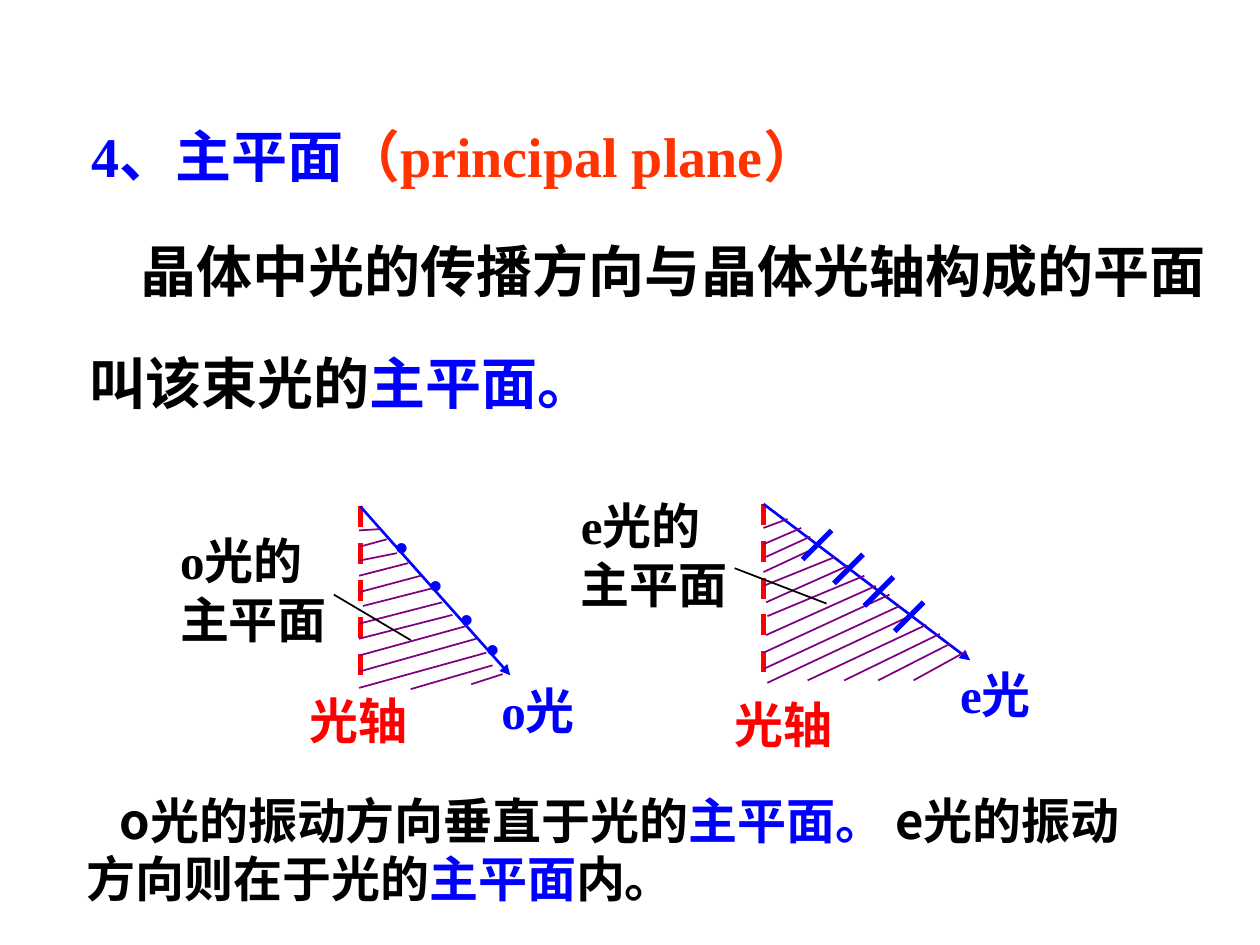
from lxml.etree import SubElement
from pptx import Presentation
from pptx.dml.color import RGBColor
from pptx.enum.dml import MSO_LINE
from pptx.enum.shapes import MSO_CONNECTOR
from pptx.oxml.ns import qn
from pptx.util import Pt

COLOURS = {"black": "000000", "blue": "0000FF", "red": "FF0000",
           "orange": "FF3300", "purple": "800080"}
LATIN_FONT = "Times New Roman"
ASIAN_FONT = "Noto Sans CJK SC"
LINE_HEIGHT = 1.2
BASELINE_SHIFT = 0.08

# Hatching: x and y of the start, x and y of the end
O_HATCHING = [
    (205.2, 303.1, 216.7, 302.4), (205.2, 312.5, 221, 308.2),
    (205.2, 320.4, 226.8, 316.1), (205.2, 329, 233.3, 321.8),
    (205.2, 338.4, 240.5, 329), (207.4, 346.3, 247, 336.2),
    (205.2, 356.4, 252.7, 344.2), (205.2, 365, 258.5, 351.4),
    (205.9, 374.4, 266.4, 357.8), (205.2, 383.8, 272.2, 365),
    (205.2, 393.1, 277.9, 373), (234.7, 393.8, 281.5, 380.2),
    (269.3, 391, 287.3, 385.2),
]
E_HATCHING = [
    (436.3, 301.7, 450, 296.6), (436.3, 311, 457.9, 301.7),
    (437.8, 318.2, 463, 306.7), (436.3, 326.9, 468.7, 311.8),
    (436.3, 334.8, 477.4, 318.2), (437.8, 344.2, 484.6, 323.3),
    (438.5, 352.1, 493.9, 329), (437.8, 362.9, 500.4, 334.8),
    (436.3, 373, 508.3, 339.8), (436.3, 382.3, 514.1, 346.3),
    (438.5, 390.2, 519.8, 352.1), (461.5, 388.8, 529.2, 357.1),
    (482.4, 388.8, 537.1, 362.2), (501.8, 388.8, 542.9, 367.9),
    (522, 388.8, 552.2, 372.2),
]
O_DOTS = [(223.2, 288.7), (242.6, 310.3), (259.9, 329.8), (275, 347)]
E_TICKS = [(458.6, 319.7), (476.6, 333.4), (493.9, 346.3), (511.2, 360.7)]
TICK_LENGTH = 16.6


def colour(name):
    return RGBColor.from_string(COLOURS[name])


class SlideWriter:
    def __init__(self, page):
        self.page = page

    def text(self, bounds, paragraphs, size, margins=(0.7, 0.7), indent=0,
             latin=LATIN_FONT, fixed_height=True):
        """Each paragraph is a list of (text, colour name) spans."""
        box = self.page.shapes.add_textbox(*map(Pt, bounds))
        frame = box.text_frame
        frame.word_wrap = True
        side, top = margins
        frame.margin_left = frame.margin_right = Pt(side)
        shift = BASELINE_SHIFT * size if fixed_height else 0
        frame.margin_top = Pt(top + shift)
        frame.margin_bottom = Pt(top)
        for number, spans in enumerate(paragraphs):
            para = frame.add_paragraph() if number else frame.paragraphs[0]
            if fixed_height:
                para.line_spacing = Pt(LINE_HEIGHT * size)
            if indent:
                properties = para._p.get_or_add_pPr()
                properties.set("marL", "0")
                properties.set("indent", str(Pt(indent)))
            for words, colour_name in spans:
                span = para.add_run()
                span.text = words
                span.font.size = Pt(size)
                span.font.bold = True
                span.font.color.rgb = colour(colour_name)
                span.font.name = latin
                asian = SubElement(span._r.get_or_add_rPr(), qn("a:ea"))
                asian.set("typeface", ASIAN_FONT)

    def body(self, bounds, spans, size=32, **options):
        self.text(bounds, [spans], size, margins=(7.2, 3.6), **options)

    def label(self, bounds, colour_name, *lines):
        self.text(bounds, [[(line, colour_name)] for line in lines], 28)

    def dot(self, left, top):
        self.text((left, top, 48, 43), [[("·", "blue")]], 36,
                  fixed_height=False)

    def line(self, ends, colour_name, width=1, dashed=False, arrow=False):
        connector = self.page.shapes.add_connector(
            MSO_CONNECTOR.STRAIGHT, *map(Pt, ends))
        connector.line.color.rgb = colour(colour_name)
        connector.line.width = Pt(width)
        if dashed:
            connector.line.dash_style = MSO_LINE.DASH
        if arrow:
            tail = SubElement(connector.line._get_or_add_ln(), qn("a:tailEnd"))
            tail.set("type", "triangle")
        SubElement(connector._element.spPr, qn("a:effectLst"))

    def principal_plane(self, axis_top, axis_bottom, ray_end, hatching, pointer):
        """Draw the optical axis, the ray, the hatched plane and its pointer."""
        self.line((*axis_top, axis_top[0], axis_bottom), "red", 3, dashed=True)
        self.line((*axis_top, *ray_end), "blue", 1.5, arrow=True)
        for ends in hatching:
            self.line(ends, "purple")
        self.line(pointer, "black")


def main():
    deck = Presentation()
    deck.slide_width, deck.slide_height = Pt(720), Pt(540)
    writer = SlideWriter(deck.slides.add_slide(deck.slide_layouts[6]))

    writer.body((45.4, 63.4, 491, 46),
                [("4、主平面", "blue"), ("（principal plane）", "orange")])
    writer.body((73.4, 128.9, 664.6, 46),
                [("晶体中光的传播方向与晶体光轴构成的平面", "black")])
    writer.body((43.9, 193, 364.3, 46),
                [("叫该束光的", "black"), ("主平面。", "blue")])

    writer.principal_plane((205.9, 289.4), 393.1, (291.6, 385.9),
                           O_HATCHING, (190.8, 339.8, 234.7, 365.8))
    for left, top in O_DOTS:
        writer.dot(left, top)
    writer.label((102.2, 300.2, 95.8, 86.4), "black", "o光的", "主平面")
    writer.label((176.4, 391.7, 104.4, 36), "red", "光轴")
    writer.label((285.8, 385.9, 85, 41.8), "blue", "o光")

    writer.principal_plane((436.3, 288), 391.7, (554.4, 377.3),
                           E_HATCHING, (419.8, 324.7, 472.3, 344.9))
    for left, bottom in E_TICKS:
        writer.line((left, bottom, left + TICK_LENGTH, bottom - TICK_LENGTH),
                    "blue", 3)
    writer.label((331.2, 280.1, 100.1, 53.3), "black", "e光的", "主平面")
    writer.label((419, 393.8, 65.5, 38.2), "red", "光轴")
    writer.label((547.9, 376.6, 97.2, 40.3), "blue", "e光")

    writer.body((42.5, 445.7, 622, 74.9),
                [("o光的振动方向垂直于光的", "black"), ("主平面。 ", "blue"),
                 ("e光的振动方向则在于光的", "black"), ("主平面", "blue"),
                 ("内。", "black")],
                size=28, indent=18.8, latin=ASIAN_FONT)
    deck.save("out.pptx")


if __name__ == "__main__":
    main()
